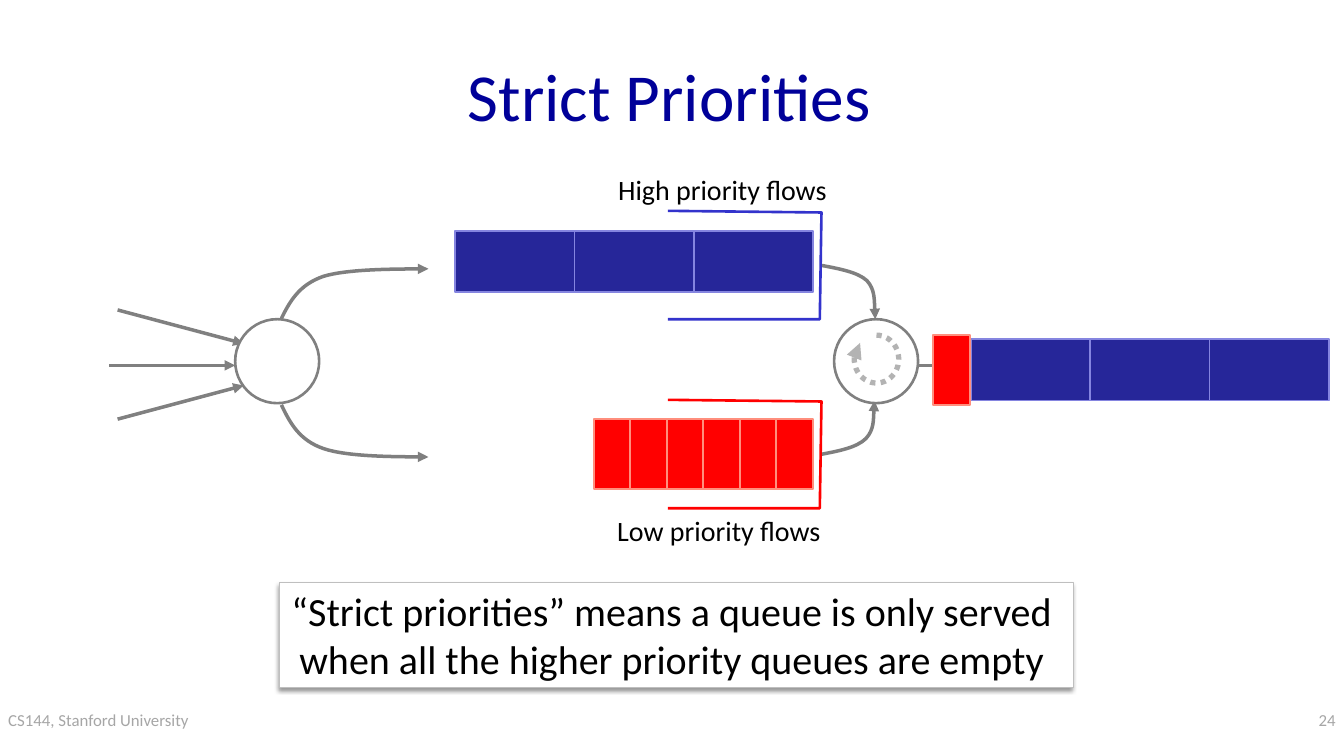
from lxml import etree
from pptx import Presentation
from pptx.dml.color import RGBColor
from pptx.enum.dml import MSO_LINE
from pptx.enum.shapes import MSO_CONNECTOR, MSO_SHAPE
from pptx.enum.text import MSO_ANCHOR, PP_ALIGN
from pptx.oxml.ns import qn
from pptx.util import Inches, Pt

OVAL, RECT, ARC = MSO_SHAPE.OVAL, MSO_SHAPE.RECTANGLE, MSO_SHAPE.ARC
LEFT, CENTER, RIGHT = PP_ALIGN.LEFT, PP_ALIGN.CENTER, PP_ALIGN.RIGHT
FONT = "Calibri"
COLORS = {
    "title": "000099", "text": "000000", "footer": "A6A6A6", "white": "FFFFFF",
    "flow": "808080", "curve": "7F7F7F", "spin": "B3B3B3", "box_edge": "BFBFBF",
    "high_queue": "3333CC", "high": "262699", "high_edge": "8585E0",
    "low": "FF0000", "low_edge": "FF8E7D",
}

# Content: lengths in inches
TITLE = "Strict Priorities"
MEANING = ["“Strict priorities” means a queue is only served ",
           "when all the higher priority queues are empty "]
# text, box, size, colour, alignment, wrap
LABELS = [
    ("CS144, Stanford University", (0, 8.4, 3.87, 0.6), 14.4, "footer", LEFT, True),
    ("24", (12.67, 8.4, 3.33, 0.6), 14.4, "footer", RIGHT, True),
    ("High priority flows", (7.26, 2, 2.71, 0.5), 24, "text", LEFT, False),
    ("Low priority flows", (7.25, 6.07, 2.64, 0.5), 24, "text", LEFT, False),
]
ARROWS = [
    ((1.3, 4.35), (2.8, 4.35)),
    ((1.4, 4.99), (2.9, 4.59)),
    ((1.4, 3.69), (2.9, 4.09)),
    ((10.93, 4.35), (15.58, 4.35)),
]
# start point, then three points for each curved segment
CURVES = [
    [(3.35, 3.79), (3.45, 3.59), (3.56, 3.39), (3.85, 3.29),
     (4.14, 3.2), (5.1, 3.2), (5.1, 3.2)],
    [(3.35, 4.82), (3.45, 5.03), (3.56, 5.24), (3.85, 5.34),
     (4.14, 5.44), (5.1, 5.44), (5.1, 5.44)],
    [(9.78, 3.16), (9.99, 3.2), (10.21, 3.24), (10.32, 3.34),
     (10.42, 3.45), (10.42, 3.8), (10.42, 3.8)],
    [(9.77, 5.41), (9.98, 5.37), (10.2, 5.33), (10.31, 5.22),
     (10.41, 5.11), (10.41, 4.77), (10.41, 4.77)],
]
QUEUES = [(2.51, "high_queue"), (4.76, "low")]
CIRCLES = [(2.8, 3.8, 1, 1), (9.93, 3.8, 1, 1)]
# left, top, pitch, width, height, count, colour
PACKETS = [
    (11.56, 4.04, 1.42, 1.42, 0.73, 3, "high"),
    (11.11, 3.99, 0.44, 0.44, 0.83, 1, "low"),
    (5.42, 2.75, 1.42, 1.42, 0.73, 3, "high"),
    (7.07, 4.99, 0.434, 0.44, 0.83, 6, "low"),
]

prs = Presentation()
prs.slide_width, prs.slide_height = Inches(16), Inches(9)
slide = prs.slides.add_slide(prs.slide_layouts[5])
shapes = slide.shapes


def rgb(name):
    return RGBColor.from_string(COLORS[name])


def style_line(sp, color, width):
    sp.line.color.rgb = rgb(color)
    sp.line.width = Pt(width)


def add_arrowhead(sp):
    etree.SubElement(sp.line._get_or_add_ln(), qn("a:tailEnd"), type="triangle")


def add_shape(kind, box, fill, edge, width):
    sp = shapes.add_shape(kind, *map(Inches, box))
    sp.shadow.inherit = False
    if fill:
        sp.fill.solid()
        sp.fill.fore_color.rgb = rgb(fill)
    else:
        sp.fill.background()
    style_line(sp, edge, width)
    return sp


def add_outline(points, color, width):
    pts = [(Inches(x), Inches(y)) for x, y in points]
    builder = shapes.build_freeform(*pts[0])
    builder.add_line_segments(pts[1:], close=False)
    sp = builder.convert_to_shape()
    sp.shadow.inherit = False
    sp.fill.background()
    style_line(sp, color, width)
    return sp


def bend(sp):
    """Turn each three straight segments into one cubic curve."""
    segments = sp._element.xpath(".//a:lnTo")
    for i in range(0, len(segments), 3):
        cubic = etree.Element(qn("a:cubicBezTo"))
        segments[i].addprevious(cubic)
        for segment in segments[i:i + 3]:
            cubic.append(segment[0])
            segment.getparent().remove(segment)


def add_run(p, text, size, color):
    r = p.add_run()
    r.text = text
    r.font.name, r.font.size = FONT, Pt(size)
    r.font.color.rgb = rgb(color)


# Title
title = shapes.title
title.left, title.top, title.width, title.height = map(Inches, (1.17, 0.38, 13.6, 1.5))
title.text_frame.vertical_anchor = MSO_ANCHOR.MIDDLE
p = title.text_frame.paragraphs[0]
p.alignment = CENTER
add_run(p, TITLE, 57.6, "title")

# Straight and curved arrows
for start, end in ARROWS:
    line = shapes.add_connector(MSO_CONNECTOR.STRAIGHT, *map(Inches, start + end))
    style_line(line, "flow", 3)
    add_arrowhead(line)
    etree.SubElement(line._element.spPr, qn("a:effectLst"))
for points in CURVES:
    curve = add_outline(points, "curve", 3)
    bend(curve)
    add_arrowhead(curve)

# Queue outlines, open on the left
for top, color in QUEUES:
    add_outline([(7.95, top), (9.78, top + 0.02), (9.76, top + 1.29),
                 (7.95, top + 1.29)], color, 2.25)

# Classifier and scheduler, with the turning arrow
for box in CIRCLES:
    add_shape(OVAL, box, "white", "flow", 2.25)
spin = add_shape(ARC, (10.17, 3.99, 0.53, 0.57), None, "spin", 4.5)
spin.adjustments[0], spin.adjustments[1] = 162, 134.749
spin.line.dash_style = MSO_LINE.ROUND_DOT
add_arrowhead(spin)

# Packets
for left, top, pitch, width, height, count, color in PACKETS:
    for i in range(count):
        add_shape(RECT, (left + i * pitch, top, width, height),
                  color, color + "_edge", 1.5)

# Labels and footer
for text, box, size, color, align, wrap in LABELS:
    tf = shapes.add_textbox(*map(Inches, box)).text_frame
    tf.word_wrap = wrap
    tf.paragraphs[0].alignment = align
    add_run(tf.paragraphs[0], text, size, color)

# Meaning box with a soft shadow
meaning = add_shape(RECT, (3.33, 6.93, 9.45, 1.25), "white", "box_edge", 0.75)
effects = meaning._element.spPr.find(qn("a:effectLst"))
shadow = etree.SubElement(effects, qn("a:outerShdw"), blurRad=str(Pt(4)),
                          dist=str(Pt(3)), dir=str(135 * 60000), rotWithShape="0")
black = etree.SubElement(shadow, qn("a:srgbClr"), val=COLORS["text"])
etree.SubElement(black, qn("a:alpha"), val="40000")
tf = meaning.text_frame
tf.word_wrap = False
p = tf.paragraphs[0]
p.alignment = CENTER
add_run(p, MEANING[0], 34.3, "text")
p.add_line_break()
add_run(p, MEANING[1], 34.3, "text")

prs.save("out.pptx")
